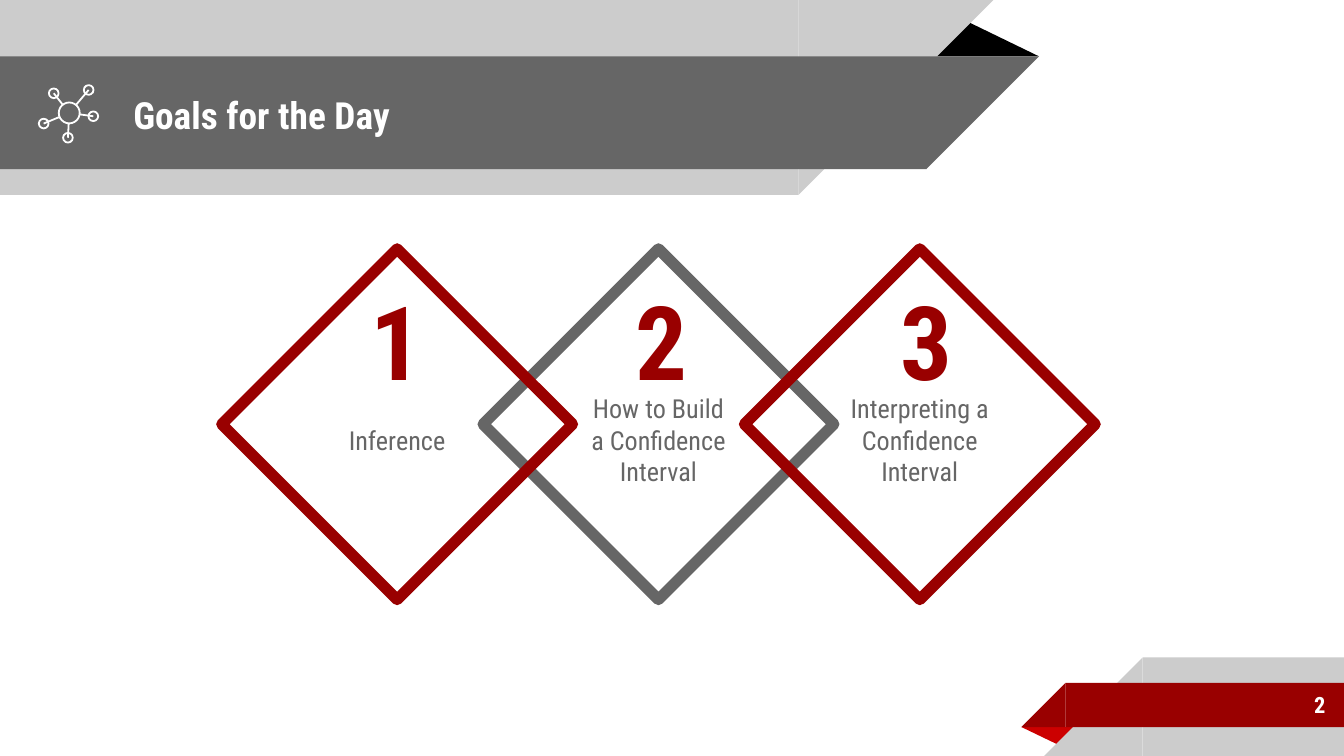
"""Build the "Goals for the Day" slide with three linked diamonds."""
from math import hypot

from lxml.etree import SubElement
from pptx import Presentation
from pptx.dml.color import RGBColor
from pptx.enum.shapes import MSO_CONNECTOR, MSO_SHAPE
from pptx.enum.text import MSO_ANCHOR, MSO_AUTO_SIZE, PP_ALIGN
from pptx.oxml.ns import qn
from pptx.util import Pt

WHITE = RGBColor(0xFF, 0xFF, 0xFF)
BLACK = RGBColor(0x00, 0x00, 0x00)
LIGHT_GRAY = RGBColor(0xCC, 0xCC, 0xCC)
DARK_GRAY = RGBColor(0x66, 0x66, 0x66)
DARK_RED = RGBColor(0x99, 0x00, 0x00)
RED = RGBColor(0xCC, 0x00, 0x00)
FONT = "Roboto Condensed"

presentation = Presentation()
presentation.slide_width = Pt(720)
presentation.slide_height = Pt(405)
slide = presentation.slides.add_slide(presentation.slide_layouts[5])
shapes = slide.shapes


def add_shape(kind, left, top, width, height, fill=None, line=None, line_width=1):
    shape = shapes.add_shape(kind, Pt(left), Pt(top), Pt(width), Pt(height))
    shape.shadow.inherit = False
    if fill is None:
        shape.fill.background()
    else:
        shape.fill.solid()
        shape.fill.fore_color.rgb = fill
    if line is None:
        shape.line.fill.background()
    else:
        shape.line.color.rgb = line
        shape.line.width = Pt(line_width)
    return shape


def write_text(shape, text, size, color, bold, alignment, anchor=MSO_ANCHOR.MIDDLE):
    frame = shape.text_frame
    frame.word_wrap = True
    frame.auto_size = MSO_AUTO_SIZE.NONE
    frame.vertical_anchor = anchor
    frame.margin_left = frame.margin_right = Pt(7.2)
    frame.margin_top = frame.margin_bottom = Pt(7.2)
    paragraph = frame.paragraphs[0]
    paragraph.alignment = alignment
    run = paragraph.add_run()
    run.text = text
    run.font.name = FONT
    run.font.size = Pt(size)
    run.font.bold = bold
    run.font.color.rgb = color


header_fold = add_shape(MSO_SHAPE.ISOSCELES_TRIANGLE, 495.4, 10.1, 61.2, 20.1, BLACK)
footer_fold = add_shape(MSO_SHAPE.ISOSCELES_TRIANGLE, 547.2, 389.5, 31, 10.1, RED)
footer_fold.rotation = 180
for fold in (header_fold, footer_fold):
    fold.adjustments[0] = 0.324

header_bands = [(0, 427.7, 104.4, LIGHT_GRAY), (30.2, 496.1, 60.5, DARK_GRAY)]
for top, width, height, color in header_bands:
    add_shape(MSO_SHAPE.RECTANGLE, 0, top, width, height, color)
    slant = add_shape(MSO_SHAPE.RIGHT_TRIANGLE, width, top, height, height, color)
    slant.rotation = 180
    slant._element.spPr.xfrm.set("flipH", "1")

footer_bands = [(352.2, 612.2, 52.8, LIGHT_GRAY), (365.9, 570.9, 23.7, DARK_RED)]
for top, left, height, color in footer_bands:
    add_shape(MSO_SHAPE.RECTANGLE, left, top, 720 - left, height, color)
    slant = add_shape(MSO_SHAPE.RIGHT_TRIANGLE, left - height, top, height, height, color)
    slant._element.spPr.xfrm.set("flipH", "1")

title = shapes.title
title.left, title.top, title.width, title.height = Pt(64.2), Pt(31.2), Pt(414), Pt(60.5)
write_text(title, "Goals for the Day", 20, WHITE, True, PP_ALIGN.LEFT)
shapes._spTree.append(title._element)

page_number = shapes.add_textbox(Pt(599.8), Pt(365), Pt(117.4), Pt(25.2))
write_text(page_number, "2", 12, WHITE, True, PP_ALIGN.RIGHT)

hub_x, hub_y, hub_radius, node_radius = 37.1, 60.5, 5.6, 2.6
nodes = [(47.5, 48.2), (28.8, 50), (23.4, 66.2), (36.4, 73.8), (50, 62.3)]
for x, y, radius in [(hub_x, hub_y, hub_radius)] + [(*node, node_radius) for node in nodes]:
    add_shape(MSO_SHAPE.OVAL, x - radius, y - radius, 2 * radius, 2 * radius,
              line=WHITE, line_width=0.96)
for x, y in nodes:
    ratio = hub_radius / hypot(x - hub_x, y - hub_y)
    spoke = shapes.add_connector(
        MSO_CONNECTOR.STRAIGHT, Pt(x), Pt(y),
        Pt(hub_x + (x - hub_x) * ratio), Pt(hub_y + (y - hub_y) * ratio))
    spoke.line.color.rgb = WHITE
    spoke.line.width = Pt(0.96)
    SubElement(spoke._element.spPr, qn("a:effectLst"))

goals = [
    (1, "How to Build a Confidence Interval", WHITE, DARK_GRAY),
    (0, "Inference", None, DARK_RED),
    (2, "Interpreting a Confidence Interval", None, DARK_RED),
]
for position, text, fill, outline in goals:
    diamond = add_shape(MSO_SHAPE.DIAMOND, 118.8 + 140 * position, 133.3, 187.9, 187.9,
                        fill, outline, 6)
    write_text(diamond, text, 14, DARK_GRAY, False, PP_ALIGN.CENTER)
    diamond.text_frame.margin_top = Pt(24)

for position in range(3):
    number = shapes.add_textbox(Pt(191.5 + 141.8 * position), Pt(142.6), Pt(38.9), Pt(79.2))
    write_text(number, str(position + 1), 55, DARK_RED, True, PP_ALIGN.LEFT, MSO_ANCHOR.BOTTOM)

presentation.save("out.pptx")
